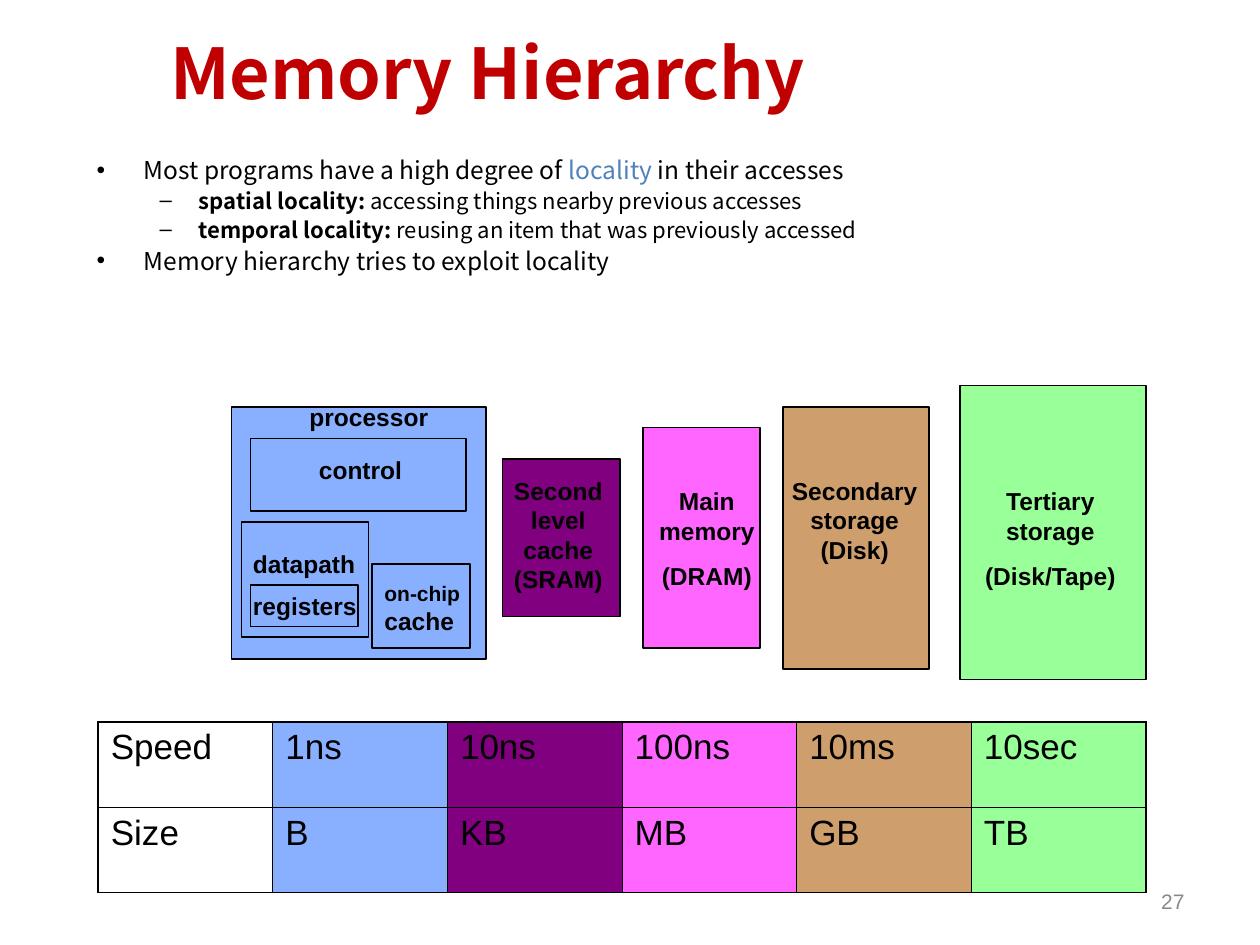
from typing import NamedTuple, Optional

from lxml import etree
from pptx import Presentation
from pptx import util as u
from pptx.dml.color import RGBColor
from pptx.enum import shapes, text
from pptx.oxml import ns

BLACK = RGBColor(0x00, 0x00, 0x00)
RED = RGBColor(0xC0, 0x00, 0x00)
GREY = RGBColor(0x89, 0x89, 0x89)
LINK_BLUE = RGBColor(0x4F, 0x81, 0xBD)
BLUE = RGBColor(0x89, 0xB0, 0xFF)
PURPLE = RGBColor(0x80, 0x00, 0x80)
PINK = RGBColor(0xFF, 0x66, 0xFF)
TAN = RGBColor(0xCF, 0x9E, 0x6D)
GREEN = RGBColor(0x99, 0xFF, 0x99)

ARIAL = "Arial"
TITLE_FONT = "Noto Sans CJK KR"
BODY_FONT = "Noto Sans CJK SC"
CENTER = text.PP_ALIGN.CENTER


class Area(NamedTuple):
    """Left, top, width and height in centimetres."""
    left: float
    top: float
    width: float
    height: float

    def lengths(self) -> list:
        return [u.Cm(v) for v in self]


class Box(NamedTuple):
    area: Area
    fill: Optional[RGBColor] = None


class Label(NamedTuple):
    text: str
    area: Area
    wrap: bool = False
    align: Optional[text.PP_ALIGN] = None


class Span(NamedTuple):
    text: str
    color: RGBColor = BLACK
    bold: bool = False


class Bullet(NamedTuple):
    level: int
    spans: list[Span]


class BulletStyle(NamedTuple):
    char: str
    size: float
    margin: float
    hang: float
    before: float


BULLET_STYLES = [BulletStyle("•", 14, 0.95, 0.95, 5),
                 BulletStyle("–", 12.6, 2.06, 0.79, 4.5)]

BULLETS = [
    Bullet(0, [Span("Most programs have a high degree of "),
               Span("locality", LINK_BLUE), Span(" in their accesses")]),
    Bullet(1, [Span("spatial locality:", bold=True),
               Span(" accessing things nearby previous accesses")]),
    Bullet(1, [Span("temporal locality:", bold=True),
               Span(" reusing an item that was previously accessed")]),
    Bullet(0, [Span("Memory hierarchy tries to exploit locality")]),
]

BOXES = [
    Box(Area(4.67, 8.2, 5.13, 5.08), BLUE),      # processor
    Box(Area(5.05, 8.84, 4.35, 1.47)),           # control
    Box(Area(5.05, 11.79, 2.17, 0.84)),          # registers
    Box(Area(7.5, 11.37, 1.97, 1.7)),            # on-chip cache
    Box(Area(4.87, 10.52, 2.56, 2.33)),          # datapath
    Box(Area(10.13, 9.25, 2.37, 3.18), PURPLE),  # second level cache
    Box(Area(12.96, 8.62, 2.37, 4.45), PINK),    # main memory
    Box(Area(15.78, 8.2, 2.95, 5.29), TAN),      # secondary storage
    Box(Area(19.35, 7.77, 3.75, 5.93), GREEN),   # tertiary storage
]

LABELS = [
    Label("registers", Area(4.85, 11.79, 2.75, 0.86)),
    Label("datapath", Area(4.85, 10.95, 2.6, 0.86)),
    Label("control", Area(6.18, 9.04, 2.2, 0.86)),
    Label("processor", Area(5.99, 7.98, 2.92, 0.86)),
    Label("Second level cache (SRAM)", Area(9.92, 9.47, 2.67, 2.64), True, CENTER),
    Label("Main memory\n(DRAM)", Area(12.95, 9.68, 2.6, 2.34), True, CENTER),
    Label("Secondary storage (Disk)", Area(15.64, 9.47, 3.18, 2.03), True, CENTER),
    Label("Tertiary storage\n(Disk/Tape)", Area(19.45, 9.68, 3.45, 2.34), True, CENTER),
]

TABLE_ROWS = [["Speed", "1ns", "10ns", "100ns", "10ms", "10sec"],
              ["Size", "B", "KB", "MB", "GB", "TB"]]
COLUMN_FILLS = [None, BLUE, PURPLE, PINK, TAN, GREEN]
COLUMN_WIDTH, ROW_HEIGHT = 3.52, 1.72


def style_run(r, font: str, size: float, color: RGBColor = BLACK, bold: bool = False) -> None:
    r.font.name = font
    r.font.size = u.Pt(size)
    r.font.color.rgb = color
    r.font.bold = bold


def add_text_frame(s, area: Area, wrap: bool = True, anchor=text.MSO_ANCHOR.TOP):
    tf = s.shapes.add_textbox(*area.lengths()).text_frame
    tf.word_wrap = wrap
    tf.vertical_anchor = anchor
    return tf


def add_line(s, content: str, area: Area, font: str, size: float,
             color: RGBColor, bold: bool = False, align=None) -> None:
    tf = add_text_frame(s, area, anchor=text.MSO_ANCHOR.MIDDLE)
    tf.text = content
    p = tf.paragraphs[0]
    p.alignment = align
    style_run(p.runs[0], font, size, color, bold)


def add_bullets(s, bullets: list[Bullet], area: Area) -> None:
    tf = add_text_frame(s, area)
    for i, bullet in enumerate(bullets):
        style = BULLET_STYLES[bullet.level]
        p = tf.add_paragraph() if i else tf.paragraphs[0]
        p.level = bullet.level
        pPr = p._p.get_or_add_pPr()
        pPr.set("marL", str(u.Cm(style.margin)))
        pPr.set("indent", str(-u.Cm(style.hang)))
        clr = etree.SubElement(pPr, ns.qn("a:buClr"))
        etree.SubElement(clr, ns.qn("a:srgbClr"), val=str(BLACK))
        etree.SubElement(pPr, ns.qn("a:buFont"), typeface=ARIAL)
        etree.SubElement(pPr, ns.qn("a:buChar"), char=style.char)
        p.line_spacing = 0.8
        if i:
            p.space_before = u.Pt(style.before)
        for span in bullet.spans:
            r = p.add_run()
            r.text = span.text
            style_run(r, BODY_FONT, style.size, span.color, span.bold)


def add_box(s, box: Box) -> None:
    sp = s.shapes.add_shape(shapes.MSO_SHAPE.RECTANGLE, *box.area.lengths())
    sp.shadow.inherit = False
    sp.line.color.rgb = BLACK
    sp.line.width = u.Pt(1)
    set_fill(sp, box.fill)


def set_fill(target, color: Optional[RGBColor]) -> None:
    if color is None:
        target.fill.background()
    else:
        target.fill.solid()
        target.fill.fore_color.rgb = color


def add_label(s, label: Label):
    tf = add_text_frame(s, label.area, label.wrap)
    tf.auto_size = text.MSO_AUTO_SIZE.SHAPE_TO_FIT_TEXT
    tf.text = label.text
    for i, p in enumerate(tf.paragraphs):
        p.alignment = label.align
        if i:
            p.space_before = u.Pt(8.8)
        style_run(p.runs[0], ARIAL, 14, bold=True)
    return tf


def set_border(cell, side: str, points: float) -> None:
    ln = etree.SubElement(cell._tc.get_or_add_tcPr(), ns.qn(f"a:ln{side}"), w=str(u.Pt(points)))
    fill = etree.SubElement(ln, ns.qn("a:solidFill"))
    etree.SubElement(fill, ns.qn("a:srgbClr"), val=str(BLACK))


def add_speed_table(s, left: float, top: float) -> None:
    n_rows, n_cols = len(TABLE_ROWS), len(COLUMN_FILLS)
    area = Area(left, top, n_cols * COLUMN_WIDTH, n_rows * ROW_HEIGHT)
    table = s.shapes.add_table(n_rows, n_cols, *area.lengths()).table
    table.first_row = table.horz_banding = False
    for i, row in enumerate(TABLE_ROWS):
        for j, value in enumerate(row):
            cell = table.cell(i, j)
            cell.text = value
            style_run(cell.text_frame.paragraphs[0].runs[0], ARIAL, 20)
            # Outer edges are heavier than inner ones
            outer = {"L": j == 0, "R": j == n_cols - 1, "T": i == 0, "B": i == n_rows - 1}
            for side, is_outer in outer.items():
                set_border(cell, side, 1.08 if is_outer else 0.45)
            set_fill(cell, COLUMN_FILLS[j])


def main() -> None:
    prs = Presentation()
    prs.slide_width, prs.slide_height = u.Cm(25.4), u.Cm(19.05)
    s = prs.slides.add_slide(prs.slide_layouts[6])

    # Title, page number and bullets
    add_line(s, "Memory Hierarchy", Area(3.18, 0, 21.74, 2.9), TITLE_FONT, 40, RED, bold=True)
    add_line(s, "27", Area(18.21, 17.65, 5.92, 1.02), ARIAL, 12, GREY, align=text.PP_ALIGN.RIGHT)
    add_bullets(s, BULLETS, Area(1.7, 3.12, 22.23, 3.71))

    # Memory diagram
    for box in BOXES:
        add_box(s, box)
    for label in LABELS:
        add_label(s, label)
    tf = add_label(s, Label("on-chip ", Area(7.5, 11.58, 2.16, 1.37), True))
    p = tf.paragraphs[0]
    p.runs[0].font.size = u.Pt(12)
    r = p.add_run()
    r.text = "cache"
    style_run(r, ARIAL, 14, bold=True)

    # Speed and size of each level
    add_speed_table(s, 1.98, 14.55)
    prs.save("out.pptx")


if __name__ == "__main__":
    main()
